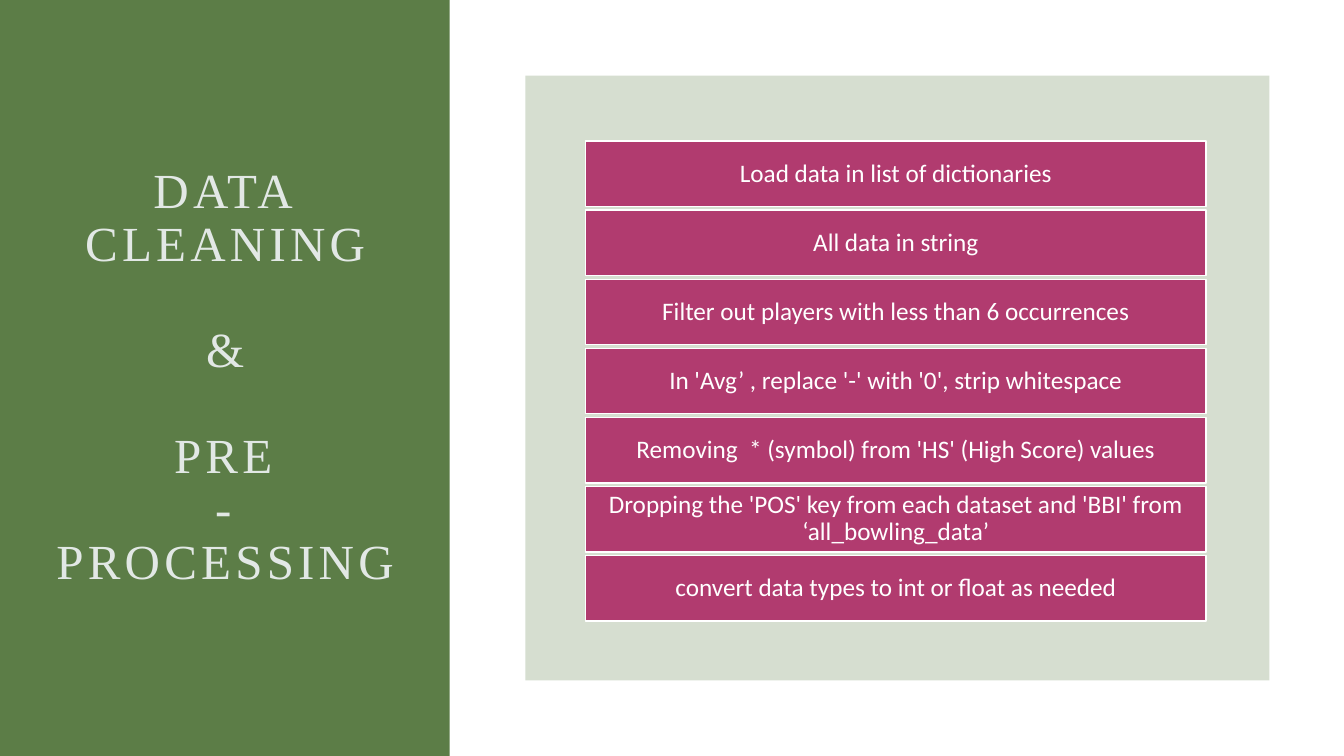
from lxml import etree
from pptx import Presentation
from pptx.dml.color import RGBColor
from pptx.enum.shapes import MSO_SHAPE
from pptx.enum.text import MSO_ANCHOR, MSO_AUTO_SIZE, PP_ALIGN
from pptx.oxml.ns import qn
from pptx.util import Inches, Pt

RECTANGLE = MSO_SHAPE.RECTANGLE
MIDDLE = MSO_ANCHOR.MIDDLE
CENTER = PP_ALIGN.CENTER
NO_AUTOFIT = MSO_AUTO_SIZE.NONE
TITLE_ONLY_LAYOUT = 5

COLORS = {
    "green": "5C7D47",
    "pale": "E2E8E5",
    "magenta": "B13B6F",
    "white": "FFFFFF",
}
TITLE_PARTS = ["DATA\vCLEANING", "&", "PRE\v-\vPROCESSING"]
STEPS = [
    "Load data in list of dictionaries",
    "All data in string",
    "Filter out players with less than 6 occurrences",
    "In 'Avg’ , replace '-' with '0', strip whitespace",
    "Removing  * (symbol) from 'HS' (High Score) values",
    "Dropping the 'POS' key from each dataset and 'BBI' from ‘all_bowling_data’",
    "convert data types to int or float as needed",
]
STEP_TOP = 1.4
STEP_PITCH = 0.685


def rgb(name):
    return RGBColor.from_string(COLORS[name])


def add_panel(slide, left, top, width, height, color, opacity=None):
    """Add a borderless rectangle, with opacity in percent if given."""
    panel = slide.shapes.add_shape(
        RECTANGLE, Inches(left), Inches(top), Inches(width), Inches(height))
    panel.shadow.inherit = False
    panel.line.fill.background()
    panel.fill.solid()
    panel.fill.fore_color.rgb = rgb(color)
    if opacity is not None:
        color_element = panel.fill._xPr.find(qn("a:solidFill"))[0]
        etree.SubElement(color_element, qn("a:alpha"), val=str(opacity * 1000))
    return panel


def format_paragraph(paragraph, font_name, size, color):
    paragraph.alignment = CENTER
    paragraph.line_spacing = 0.9
    for run in paragraph.runs:
        run.font.name = font_name
        run.font.size = Pt(size)
        run.font.color.rgb = rgb(color)


def add_step(slide, top, wording):
    step = add_panel(slide, 5.81, top, 6.15, 0.65, "magenta")
    step.line.color.rgb = rgb("white")
    step.line.width = Pt(1)
    frame = step.text_frame
    frame.word_wrap = True
    frame.vertical_anchor = MIDDLE
    frame.margin_left = frame.margin_right = Inches(0.05)
    frame.margin_top = frame.margin_bottom = Inches(0.05)
    frame.text = wording
    format_paragraph(frame.paragraphs[0], "Calibri", 18, "white")


def set_title(slide):
    title = slide.shapes.title
    title.left, title.top = Inches(0.38), Inches(1.5)
    title.width, title.height = Inches(3.71), Inches(4.5)
    # Bring the title in front of the green panel
    slide.shapes._spTree.append(title._element)
    frame = title.text_frame
    frame.auto_size = NO_AUTOFIT
    frame.word_wrap = True
    frame.vertical_anchor = MIDDLE
    frame.text = "\n".join(TITLE_PARTS)
    for index, paragraph in enumerate(frame.paragraphs):
        format_paragraph(paragraph, "Times New Roman", 35, "pale")
        paragraph.space_before = Pt(38 if index else 0)
        for run in paragraph.runs:
            run.font._element.set("spc", "300")
        for line_break in paragraph._p.findall(qn("a:br")):
            etree.SubElement(line_break, qn("a:rPr"), sz="3500")


def main():
    presentation = Presentation()
    presentation.slide_width = Inches(13.33)
    presentation.slide_height = Inches(7.5)
    slide = presentation.slides.add_slide(
        presentation.slide_layouts[TITLE_ONLY_LAYOUT])
    add_panel(slide, 0, 0, 4.46, 7.5, "green")
    set_title(slide)
    add_panel(slide, 5.21, 0.75, 7.38, 6, "green", opacity=25)
    for index, wording in enumerate(STEPS):
        add_step(slide, STEP_TOP + index * STEP_PITCH, wording)
    presentation.save("out.pptx")


if __name__ == "__main__":
    main()
